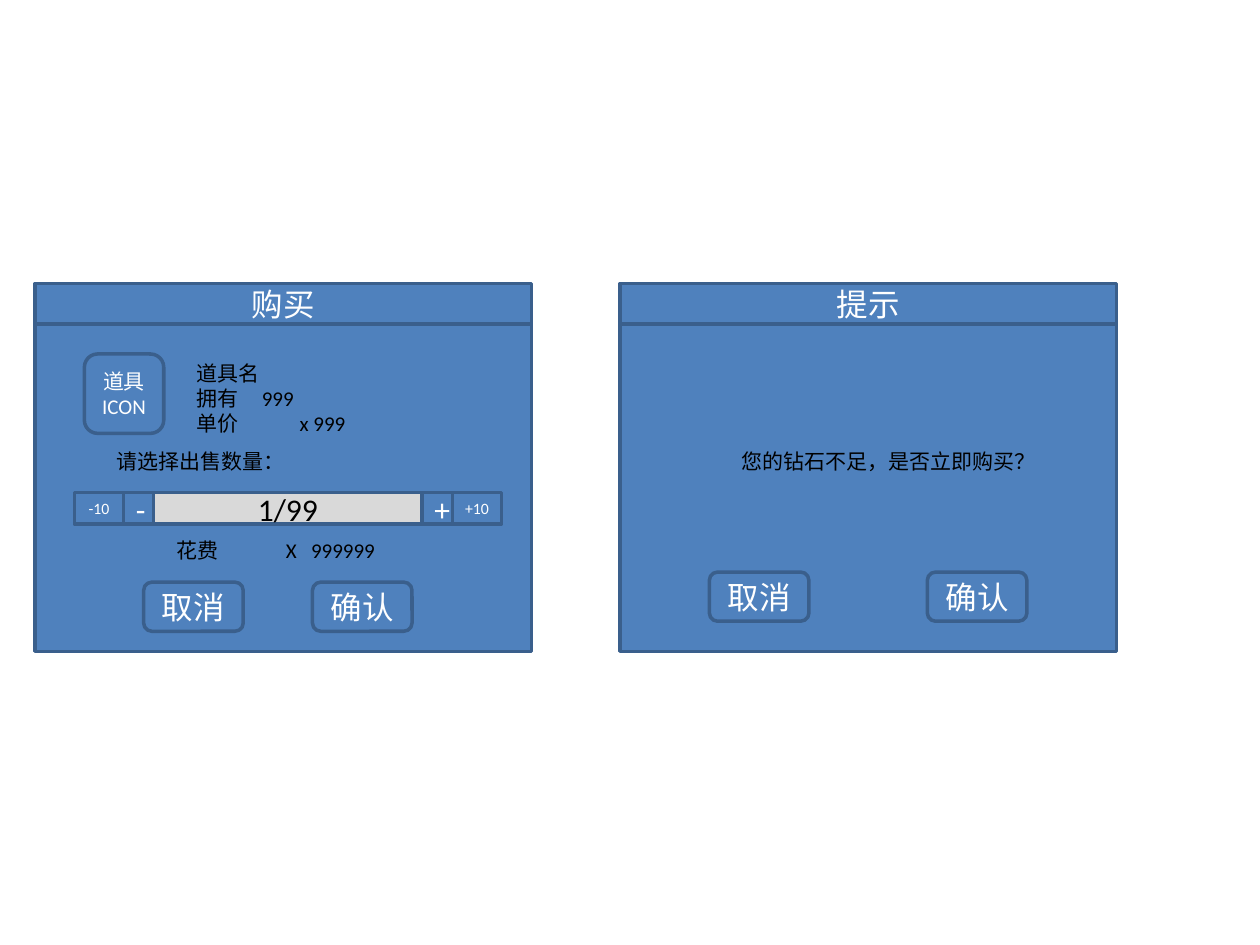
"""Build a slide with two game dialog wireframes: a purchase and a prompt."""
from lxml import etree
from pptx import Presentation
from pptx.dml.color import RGBColor
from pptx.enum.shapes import MSO_SHAPE
from pptx.enum.text import MSO_ANCHOR, MSO_AUTO_SIZE, PP_ALIGN
from pptx.oxml.ns import qn
from pptx.util import Inches, Pt

RECT, ROUNDED = MSO_SHAPE.RECTANGLE, MSO_SHAPE.ROUNDED_RECTANGLE
CENTER, LEFT = PP_ALIGN.CENTER, PP_ALIGN.LEFT
MIDDLE, TOP = MSO_ANCHOR.MIDDLE, MSO_ANCHOR.TOP
FIT_SHAPE = MSO_AUTO_SIZE.SHAPE_TO_FIT_TEXT

THEME = {
    "font": "Calibri",
    "panel": "4F81BD", "border": "3A5F8C", "field": "D9D9D9",
    "light": "FFFFFF", "dark": "000000",
    "large": 18, "body": 12, "small": 9, "border_width": 2,
}

DIALOG_WIDTH, DIALOG_TOP, HEADER_HEIGHT, BODY_HEIGHT = 3.94, 2.25, 0.32, 2.6
BUTTON_WIDTH, BUTTON_HEIGHT = 0.79, 0.39
DIALOGS = [
    {
        "title": "购买", "left": 0.28, "button_top": 4.62,
        "buttons": [("取消", 1.14), ("确认", 2.48)],
        "labels": [
            (["请选择出售数量："], (0.83, 3.51, 2.13, 0.3), []),
            (["X\t999999"], (2.17, 4.22, 1.65, 0.3), [0.2]),
            (["道具名", "拥有\t999", "单价\t\tx 999"], (1.46, 2.81, 1.65, 0.71), [0.52, 0.82]),
            (["花费"], (1.3, 4.22, 0.62, 0.3), []),
        ],
    },
    {
        "title": "提示", "left": 4.92, "button_top": 4.54,
        "buttons": [("取消", 5.63), ("确认", 7.36)],
        "labels": [(["您的钻石不足，是否立即购买？"], (5.79, 3.51, 2.44, 0.3), [])],
    },
]
ITEM_ICON = ("道具ICON", (0.67, 2.81, 0.63, 0.63))
STEPPER_LEFT, STEPPER_TOP, STEPPER_HEIGHT = 0.59, 3.91, 0.25
STEPPER = [
    ("-10", 0.39, "small", "panel", "light"),
    ("-", 0.24, "large", "panel", "light"),
    ("1/99", 2.13, "large", "field", "dark"),
    ("+", 0.24, "large", "panel", "light"),
    ("+10", 0.39, "small", "panel", "light"),
]


def color(name):
    return RGBColor.from_string(THEME[name])


def write(frame, lines, size="large", ink="light", align=CENTER, anchor=MIDDLE, tabs=()):
    frame.word_wrap = True
    frame.vertical_anchor = anchor
    for index, line in enumerate(lines):
        paragraph = frame.add_paragraph() if index else frame.paragraphs[0]
        paragraph.alignment = align
        if tabs:
            tab_list = etree.SubElement(paragraph._p.get_or_add_pPr(), qn("a:tabLst"))
            for stop in tabs:
                etree.SubElement(tab_list, qn("a:tab"), pos=str(Inches(stop)), algn="l")
        paragraph.font.size = Pt(THEME[size])
        run = paragraph.add_run()
        run.text = line
        run.font.name = THEME["font"]
        run.font.size = Pt(THEME[size])
        run.font.color.rgb = color(ink)


def add_box(slide, box, text="", kind=RECT, fill="panel", **text_format):
    shape = slide.shapes.add_shape(kind, *map(Inches, box))
    shape.shadow.inherit = False
    shape.fill.solid()
    shape.fill.fore_color.rgb = color(fill)
    shape.line.color.rgb = color("border")
    shape.line.width = Pt(THEME["border_width"])
    if text:
        write(shape.text_frame, [text], **text_format)


def add_label(slide, lines, box, tabs):
    frame = slide.shapes.add_textbox(*map(Inches, box)).text_frame
    write(frame, lines, size="body", ink="dark", align=LEFT, anchor=TOP, tabs=tabs)
    frame.auto_size = FIT_SHAPE


def add_dialog(slide, dialog):
    left = dialog["left"]
    add_box(slide, (left, DIALOG_TOP + HEADER_HEIGHT, DIALOG_WIDTH, BODY_HEIGHT))
    add_box(slide, (left, DIALOG_TOP, DIALOG_WIDTH, HEADER_HEIGHT), dialog["title"])
    for lines, box, tabs in dialog["labels"]:
        add_label(slide, lines, box, tabs)
    for caption, button_left in dialog["buttons"]:
        box = (button_left, dialog["button_top"], BUTTON_WIDTH, BUTTON_HEIGHT)
        add_box(slide, box, caption, kind=ROUNDED)


def add_stepper(slide):
    left = STEPPER_LEFT
    for caption, width, size, fill, ink in STEPPER:
        box = (left, STEPPER_TOP, width, STEPPER_HEIGHT)
        add_box(slide, box, caption, fill=fill, size=size, ink=ink)
        left += width


def main():
    deck = Presentation()
    deck.slide_width, deck.slide_height = Inches(10), Inches(7.5)
    slide = deck.slides.add_slide(deck.slide_layouts[6])
    for dialog in DIALOGS:
        add_dialog(slide, dialog)
    caption, box = ITEM_ICON
    add_box(slide, box, caption, kind=ROUNDED, size="body")
    add_stepper(slide)
    deck.save("out.pptx")


if __name__ == "__main__":
    main()
